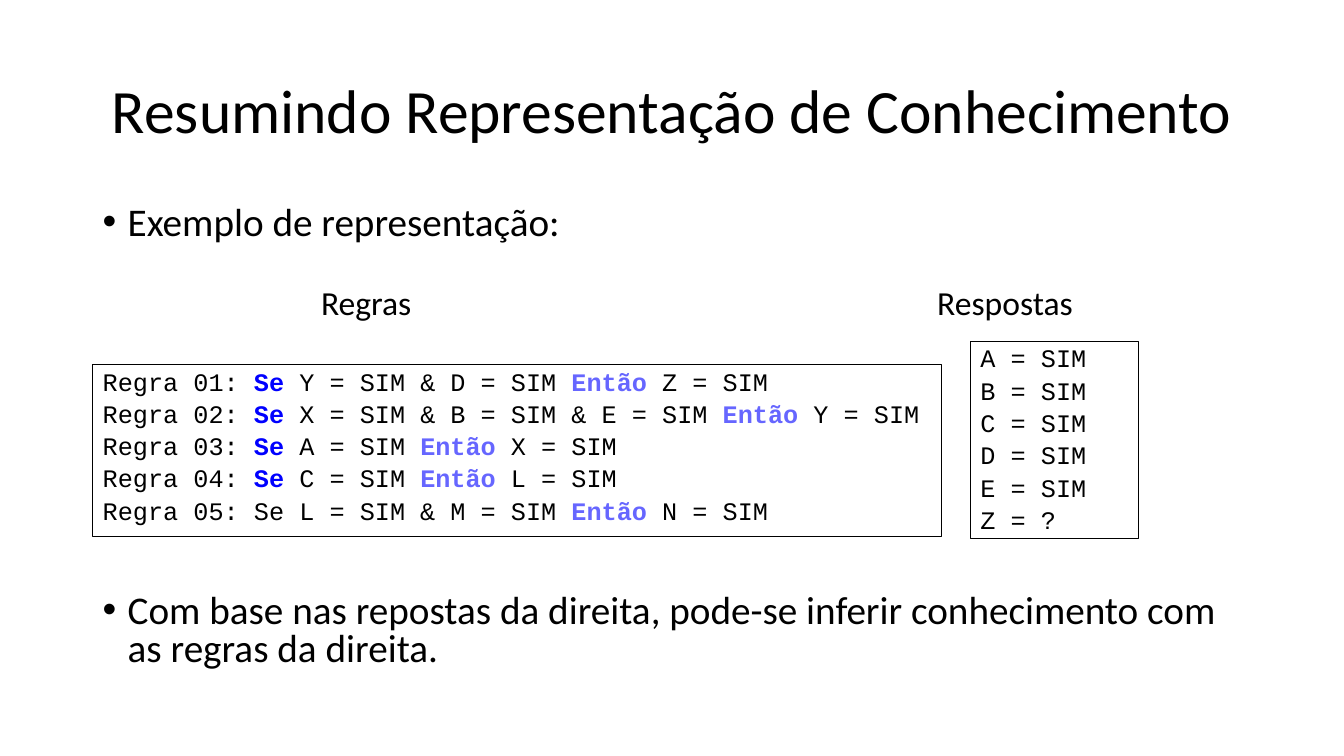
"""Builds a slide that sums up knowledge representation with rules and answers."""
from dataclasses import dataclass

from lxml.etree import SubElement
from pptx import Presentation
from pptx.dml.color import RGBColor as Rgb
from pptx.enum.shapes import MSO_SHAPE as Shape
from pptx.enum.text import MSO_ANCHOR as Anchor, PP_ALIGN as Align
from pptx.oxml.ns import qn
from pptx.util import Cm, Pt

TITLE = "Resumindo Representação de Conhecimento"
POINTS = [
    ("Exemplo de representação:", 5.08, 1.4),
    ("Com base nas repostas da direita, pode-se inferir conhecimento com "
     "as regras da direita.", 14.86, 2.3),
]
HEADINGS = [("Regras", 9.23), ("Respostas", 25.33)]
RULES = [
    [("Regra 01: ", ""), ("Se ", "if"), ("Y = SIM & D = SIM ", ""), ("Então ", "then"), ("Z = SIM", "")],
    [("Regra 02: ", ""), ("Se ", "if"), ("X = SIM & B = SIM & E = SIM ", ""), ("Então ", "then"), ("Y = SIM", "")],
    [("Regra 03: ", ""), ("Se ", "if"), ("A = SIM ", ""), ("Então ", "then"), ("X = SIM", "")],
    [("Regra 04: ", ""), ("Se ", "if"), ("C = SIM ", ""), ("Então ", "then"), ("L = SIM", "")],
    [("Regra 05: Se L = SIM & M = SIM ", ""), ("Então", "then"), (" N = SIM", "")],
]
ANSWERS = [[(answer, "")] for answer in
           ("A = SIM", "B = SIM", "C = SIM", "D = SIM", "E = SIM", "Z = ?")]
PANELS = [
    (RULES, (2.34, 9.18, 21.38, 4.34)),
    (ANSWERS, (24.46, 8.6, 4.24, 4.98)),
]
LEFT, WIDTH = 2.34, 29.21
HEADING_TOP, HEADING_WIDTH, HEADING_HEIGHT = 7.17, 6, 1.2


@dataclass(frozen=True)
class Theme:
    """Fonts, sizes and colours of the slide."""
    body: str = "Calibri"
    code: str = "Courier New"
    title_size: int = 44
    point_size: int = 28
    heading_size: int = 24
    code_size: int = 18
    ink: Rgb = Rgb(0, 0, 0)
    if_blue: Rgb = Rgb(0, 0, 0xFF)
    then_blue: Rgb = Rgb(0x66, 0x66, 0xFF)


THEME = Theme()
KEYWORD_COLORS = {"if": THEME.if_blue, "then": THEME.then_blue}


def style(paragraph, font, size, spacing, align=Align.LEFT):
    """Set the font and layout of one paragraph."""
    paragraph.font.name = font
    paragraph.font.size = Pt(size)
    paragraph.font.color.rgb = THEME.ink
    paragraph.line_spacing = spacing
    paragraph.alignment = align


def add_text(slide, text, box, size, align=Align.LEFT):
    """Add a one-paragraph text box and return its paragraph."""
    frame = slide.shapes.add_textbox(*map(Cm, box)).text_frame
    frame.word_wrap = True
    paragraph = frame.paragraphs[0]
    paragraph.text = text
    style(paragraph, THEME.body, size, 0.8, align)
    return paragraph


def add_bullet(paragraph):
    """Give a paragraph a hanging round bullet."""
    properties = paragraph._p.get_or_add_pPr()
    properties.set("marL", str(Cm(0.63)))
    properties.set("indent", str(-Cm(0.63)))
    SubElement(properties, qn("a:buFont"), typeface="Arial")
    SubElement(properties, qn("a:buChar"), char="•")


def add_panel(slide, lines, box):
    """Add an outlined panel of code lines with coloured keywords."""
    panel = slide.shapes.add_shape(Shape.RECTANGLE, *map(Cm, box))
    panel.shadow.inherit = False
    panel.fill.background()
    panel.line.color.rgb = THEME.ink
    panel.line.width = Pt(0.75)
    frame = panel.text_frame
    frame.word_wrap = True
    frame.vertical_anchor = Anchor.TOP
    for number, pieces in enumerate(lines):
        paragraph = frame.add_paragraph() if number else frame.paragraphs[0]
        style(paragraph, THEME.code, THEME.code_size, 0.9)
        paragraph.space_before = Pt(THEME.code_size * 0.2 if number else 0)
        for text, keyword in pieces:
            run = paragraph.add_run()
            run.text = text
            if keyword:
                run.font.bold = True
                run.font.color.rgb = KEYWORD_COLORS[keyword]


def main():
    """Compose and save the slide."""
    deck = Presentation()
    deck.slide_width, deck.slide_height = Cm(33.87), Cm(19.05)
    slide = deck.slides.add_slide(deck.slide_layouts[5])

    title = slide.shapes.title
    title.left, title.top, title.width, title.height = map(Cm, (LEFT, 1.02, WIDTH, 3.68))
    title.text_frame.text = TITLE
    title.text_frame.vertical_anchor = Anchor.MIDDLE
    style(title.text_frame.paragraphs[0], THEME.body, THEME.title_size, 0.9, Align.CENTER)

    for point, top, height in POINTS:
        add_bullet(add_text(slide, point, (LEFT, top, WIDTH, height), THEME.point_size))
    for heading, center in HEADINGS:
        box = (center - HEADING_WIDTH / 2, HEADING_TOP, HEADING_WIDTH, HEADING_HEIGHT)
        add_text(slide, heading, box, THEME.heading_size, Align.CENTER)
    for lines, box in PANELS:
        add_panel(slide, lines, box)
    deck.save("out.pptx")


if __name__ == "__main__":
    main()
